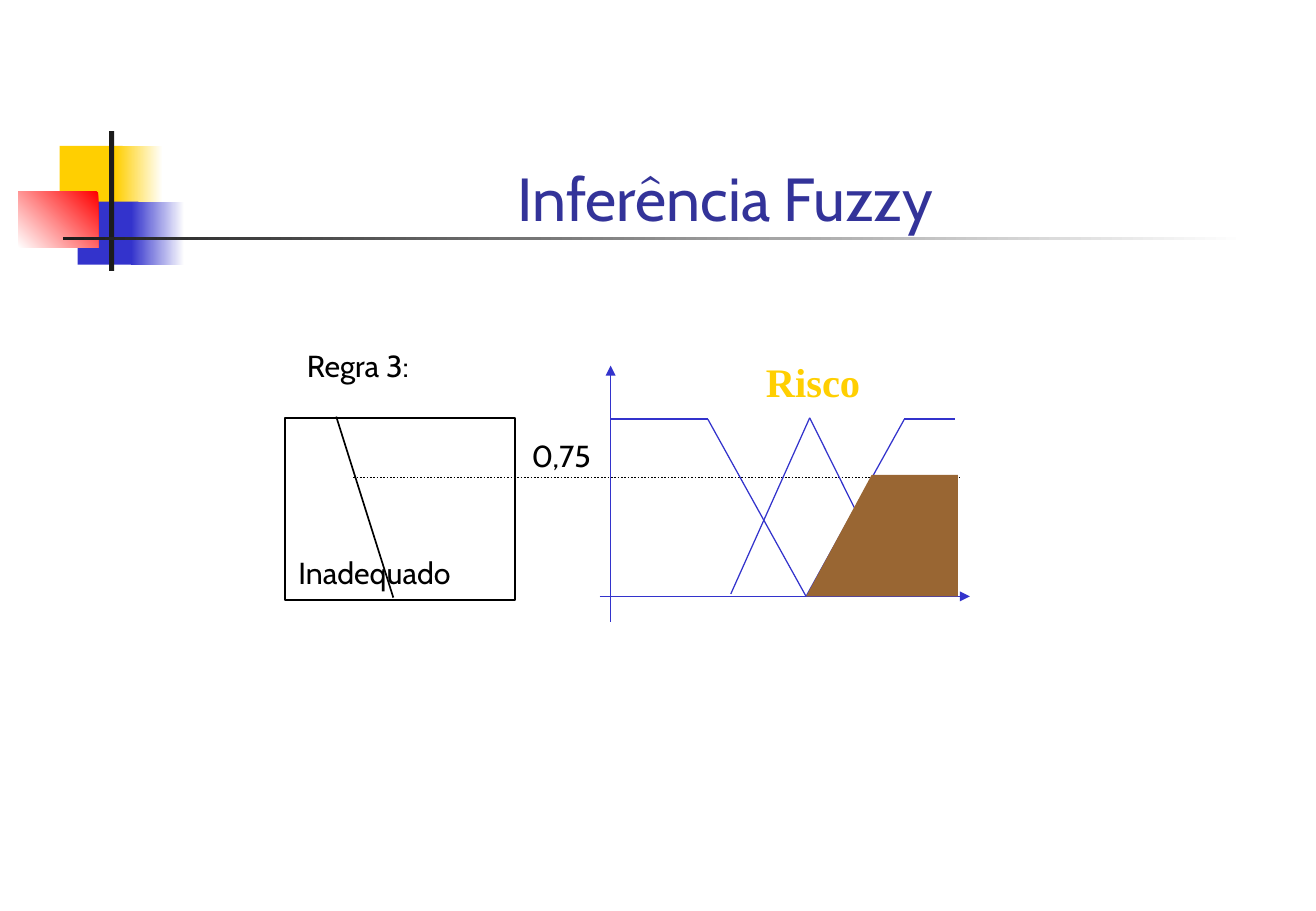
"""Build the fuzzy inference slide: rule 3 cut at 0,75 on the risk sets."""
import pptx
import pptx.dml.color
import pptx.enum.dml
import pptx.enum.shapes
import pptx.enum.text
import pptx.oxml.ns
import pptx.util
from lxml import etree

RGB = pptx.dml.color.RGBColor
YELLOW = RGB(0xFF, 0xCF, 0x01)
BLUE = RGB(0x33, 0x33, 0xCC)
NAVY = RGB(0x33, 0x33, 0x99)
RED = RGB(0xFF, 0x00, 0x00)
INK = RGB(0x1C, 0x1C, 0x1C)
BROWN = RGB(0x99, 0x66, 0x33)
BLACK = RGB(0x00, 0x00, 0x00)
WHITE = RGB(0xFF, 0xFF, 0xFF)

COLS, ROWS = 1084, 750
CELL = pptx.util.Inches(0.01)
SANS, SERIF = "Cabin", "Times New Roman"

TITLE = ("Inferência Fuzzy", (136, 37, 923, 160))

ORNAMENTS = [
    ((49, 120, 52, 52), YELLOW),
    ((95, 120, 39, 52), (WHITE, YELLOW, 180)),
    ((64, 166, 50, 52), BLUE),
    ((108, 166, 44, 52), (WHITE, BLUE, 180)),
    ((15, 158, 66, 46), (RED, WHITE, 225)),
    ((90, 108, 4, 115), INK),
    ((52, 195, 975, 3), (WHITE, INK, 180)),
]

LABELS = [
    ("Risco", (621, 289, 98, 50), SERIF, 24, YELLOW, True),
    ("Inadequado", (236, 451, 163, 40), SANS, 18, BLACK, False),
    ("Regra 3:", (243, 281, 117, 40), SANS, 18, BLACK, False),
    ("0,75", (428, 355, 69, 40), SANS, 18, BLACK, False),
]

TOP, CUT, BASE = 345, 391, 491
AXIS, LOW_END, HIGH_START, HIGH_TOP = 503, 583, 664, 745
CUT_START, CUT_END = 718, 789
RULE_BOX = (235, 344, 189, 150)
AXES = [((AXIS, 512), (AXIS, 301)), ((494, BASE), (799, BASE))]
RISK_SETS = [
    [(AXIS, TOP), (LOW_END, TOP), (HIGH_START, BASE)],
    [(602, 489), (667, 344), (740, BASE)],
    [(HIGH_START, BASE), (HIGH_TOP, TOP), (787, TOP)],
]
RULE_SLOPE = ((324, 492), (277, 343))
CUT_LINE = ((291, 393), (791, 393))


def cells(values):
    return [CELL * v for v in values]


def paint(sp, fill):
    sp.shadow.inherit = False
    sp.line.fill.background()
    if isinstance(fill, RGB):
        sp.fill.solid()
        sp.fill.fore_color.rgb = fill
    else:
        *colors, angle = fill
        sp.fill.gradient()
        sp.fill.gradient_angle = angle
        for position, stop in enumerate(sp.fill.gradient_stops):
            stop.color.rgb = colors[position]
            stop.position = position


def add_rect(s, box, fill):
    sp = s.shapes.add_shape(pptx.enum.shapes.MSO_SHAPE.RECTANGLE, *cells(box))
    paint(sp, fill)
    return sp


def add_run(p, text, font, size, color, bold=False):
    r = p.add_run()
    r.text = text
    r.font.name = font
    r.font.size = pptx.util.Pt(size)
    r.font.bold = bold
    r.font.color.rgb = color


def add_label(s, text, box, font, size, color, bold):
    tf = s.shapes.add_textbox(*cells(box)).text_frame
    tf.word_wrap = False
    add_run(tf.paragraphs[0], text, font, size, color, bold)


def add_line(s, start, end, color, width, arrow=False, dotted=False):
    qn = pptx.oxml.ns.qn
    line = s.shapes.add_connector(
        pptx.enum.shapes.MSO_CONNECTOR.STRAIGHT, *cells(start + end))
    line.line.color.rgb = color
    line.line.width = pptx.util.Pt(width)
    if dotted:
        line.line.dash_style = pptx.enum.dml.MSO_LINE.ROUND_DOT
    props = line.element.spPr
    if arrow:
        etree.SubElement(props.find(qn("a:ln")), qn("a:tailEnd"), type="triangle")
    etree.SubElement(props, qn("a:effectLst"))


def add_title(s, text, box):
    sp = s.shapes.title
    sp.left, sp.top, sp.width, sp.height = cells(box)
    tf = sp.text_frame
    tf.word_wrap = True
    tf.vertical_anchor = pptx.enum.text.MSO_ANCHOR.BOTTOM
    p = tf.paragraphs[0]
    p.alignment = pptx.enum.text.PP_ALIGN.CENTER
    add_run(p, text, SANS, 36, NAVY)


def main():
    prs = pptx.Presentation()
    prs.slide_width, prs.slide_height = cells((COLS, ROWS))
    s = prs.slides.add_slide(prs.slide_layouts[5])

    for box, fill in ORNAMENTS:
        add_rect(s, box, fill)
    add_title(s, *TITLE)

    frame = add_rect(s, RULE_BOX, WHITE)
    frame.line.color.rgb = BLACK
    frame.line.width = pptx.util.Pt(1)
    for label in LABELS:
        add_label(s, *label)

    add_line(s, *CUT_LINE, BLACK, 1, dotted=True)
    for axis in AXES:
        add_line(s, *axis, BLUE, 0.75, arrow=True)
    for points in RISK_SETS:
        for start, end in zip(points, points[1:]):
            add_line(s, start, end, BLUE, 0.75)
    add_line(s, *RULE_SLOPE, BLACK, 1)

    outline = s.shapes.build_freeform(HIGH_START, BASE, scale=CELL)
    outline.add_line_segments(
        [(CUT_START, CUT), (CUT_END, CUT), (CUT_END, BASE)], close=True)
    paint(outline.convert_to_shape(), BROWN)

    prs.save("out.pptx")


if __name__ == "__main__":
    main()
